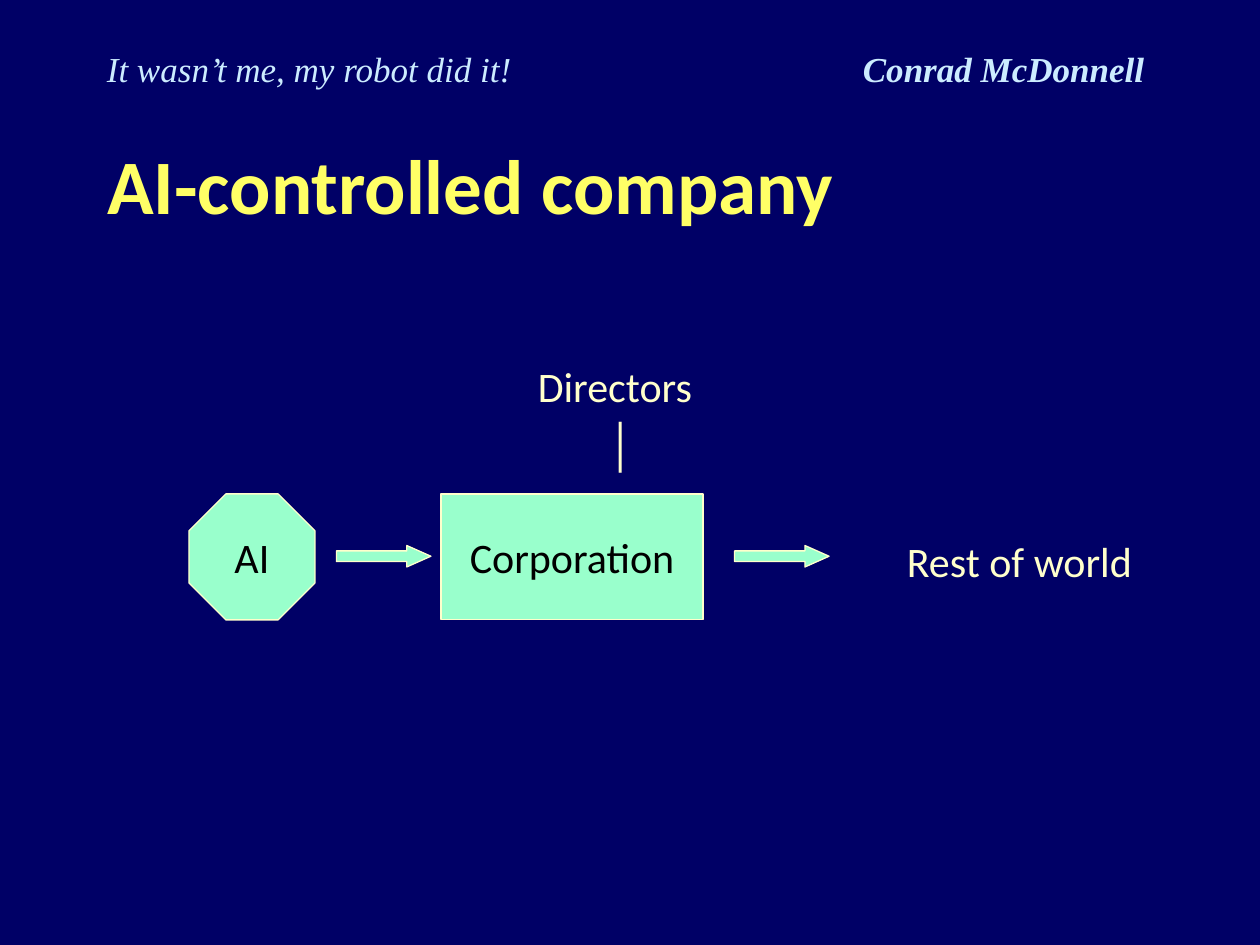
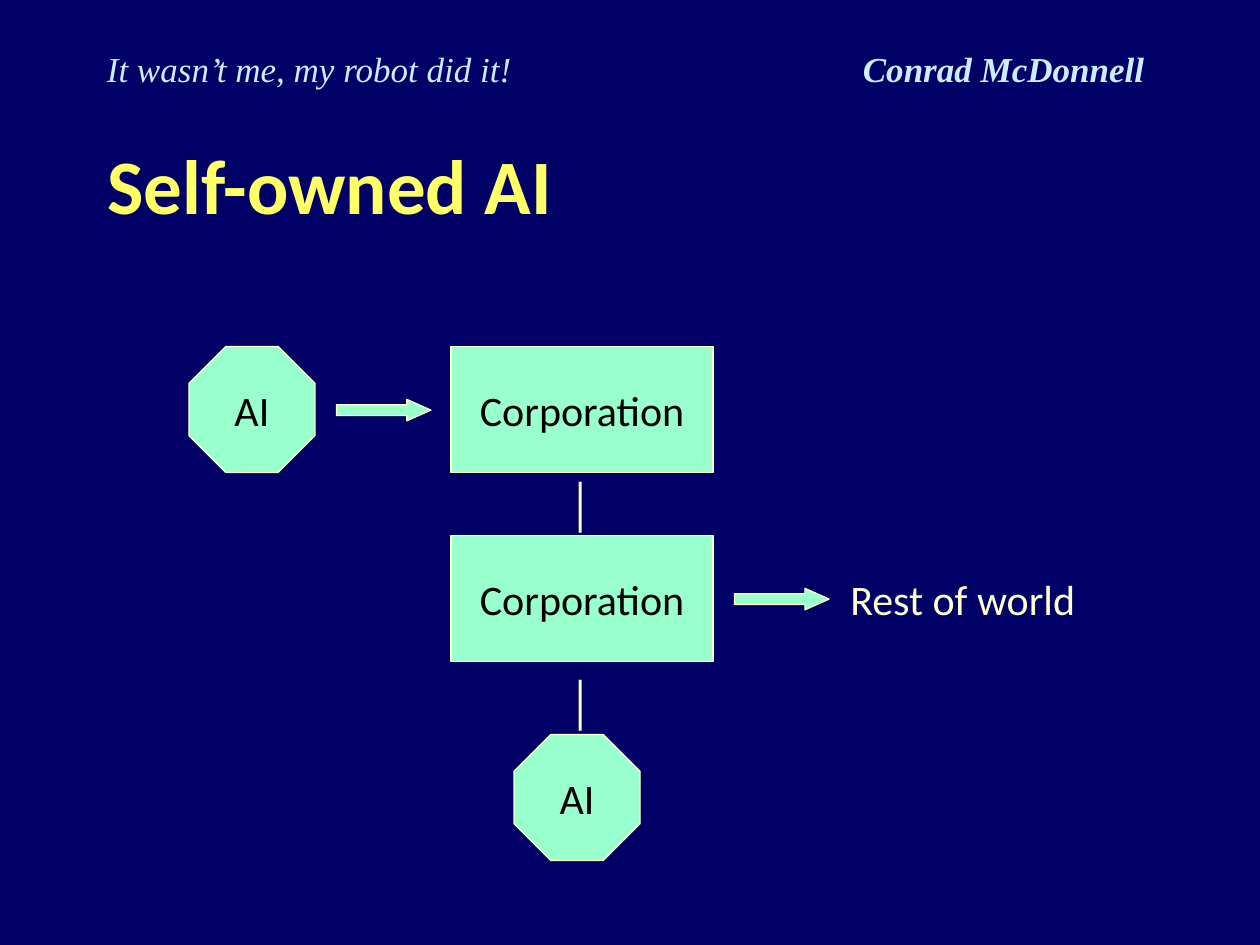
from dataclasses import dataclass

from lxml.etree import SubElement
from pptx import Presentation
from pptx.dml.color import RGBColor as RGB
from pptx.enum.shapes import MSO_SHAPE as SHAPE
from pptx.enum.text import MSO_ANCHOR as ANCHOR, PP_ALIGN as ALIGN
from pptx.oxml.ns import qn
from pptx.util import Inches, Pt


@dataclass(frozen=True)
class Theme:
    background: RGB = RGB.from_string("000066")
    header: RGB = RGB.from_string("CCECFF")
    title: RGB = RGB.from_string("FFFF66")
    label: RGB = RGB.from_string("FFFFCC")
    node: RGB = RGB.from_string("99FFCC")
    node_text: RGB = RGB.from_string("000000")
    header_font: str = "Times New Roman"
    body_font: str = "Calibri"
    bar_font: str = "Arial"
    header_size: int = 20
    title_size: int = 44
    body_size: int = 24
    outline: float = 0.75


theme = Theme()


def style_runs(frame, font_name, size, color, bold=False, italic=False):
    for run in frame.paragraphs[0].runs:
        font = run.font
        font.name, font.size, font.color.rgb = font_name, Pt(size), color
        font.bold, font.italic = bold, italic


def add_node(slide, kind, left, top, width, height, text=""):
    node = slide.shapes.add_shape(
        kind, Inches(left), Inches(top), Inches(width), Inches(height))
    node.shadow.inherit = False
    node.fill.solid()
    node.fill.fore_color.rgb = theme.node
    node.line.color.rgb = theme.label
    node.line.width = Pt(theme.outline)
    if kind == SHAPE.RIGHT_ARROW:
        node.adjustments[1] = 1.125
    if text:
        frame = node.text_frame
        frame.text = text
        frame.word_wrap = False
        frame.vertical_anchor = ANCHOR.MIDDLE
        frame.paragraphs[0].alignment = ALIGN.CENTER
        style_runs(frame, theme.body_font, theme.body_size, theme.node_text)


# Content: positions are (left, top) in inches
BAR = "│"
diagrams = [
    {
        "title": "AI-controlled company",
        "ai": [(1.5, 3.92)],
        "corporations": [(3.5, 3.92)],
        "arrows": [(2.67, 4.33), (5.83, 4.33)],
        "labels": [("Directors", 4.17, 2.81), (BAR, 4.74, 3.27),
                   ("Rest of world", 7.1, 4.2)],
    },
    {
        "title": "Self-owned AI",
        "ai": [(1.5, 2.75), (4.08, 5.83)],
        "corporations": [(3.58, 2.75), (3.58, 4.25)],
        "arrows": [(2.67, 3.17), (5.83, 4.67)],
        "labels": [(BAR, 4.42, 3.75), (BAR, 4.42, 5.32),
                   ("Rest of world", 6.65, 4.5)],
    },
]

prs = Presentation()
prs.slide_width, prs.slide_height = Inches(10), Inches(7.5)
title_only = prs.slide_layouts[5]

# Shared background
backdrop = prs.slide_master.background.fill
backdrop.solid()
backdrop.fore_color.rgb = theme.background

for number, diagram in enumerate(diagrams):
    slide = prs.slides.add_slide(title_only)

    # Running header, placed on the layout that all slides share
    if number == 0:
        header = slide.shapes.add_textbox(
            Inches(0.75), Inches(0.33), Inches(8.5), Inches(0.44))
        header.text_frame.word_wrap = True
        line = header.text_frame.paragraphs[0]
        line.alignment = ALIGN.LEFT
        for text in ("It wasn’t me, my robot did it!\t", "Conrad McDonnell"):
            line.add_run().text = text
        style_runs(header.text_frame, theme.header_font, theme.header_size,
                   theme.header, italic=True)
        line.runs[1].font.bold = True
        tabs = SubElement(header.element.find(".//" + qn("a:pPr")), qn("a:tabLst"))
        SubElement(tabs, qn("a:tab"), pos=str(Inches(6)), algn="l")
        title_only.shapes.element.append(header.element)

    # Title
    title = slide.shapes.title
    title.left, title.top = Inches(0.75), Inches(1)
    title.width, title.height = Inches(8.5), Inches(0.92)
    title.text_frame.text = diagram["title"]
    title.text_frame.vertical_anchor = ANCHOR.MIDDLE
    title.text_frame.paragraphs[0].alignment = ALIGN.LEFT
    style_runs(title.text_frame, theme.body_font, theme.title_size,
               theme.title, bold=True)

    # Parties and the arrows between them
    for left, top in diagram["ai"]:
        add_node(slide, SHAPE.OCTAGON, left, top, 1, 1, "AI")
    for left, top in diagram["corporations"]:
        add_node(slide, SHAPE.RECTANGLE, left, top, 2.08, 1, "Corporation")
    for left, top in diagram["arrows"]:
        add_node(slide, SHAPE.RIGHT_ARROW, left, top, 0.75, 0.17)

    # Free labels and the bars that tie parties together
    for text, left, top in diagram["labels"]:
        width = 0.4 if text == BAR else 2.2
        label = slide.shapes.add_textbox(
            Inches(left), Inches(top), Inches(width), Inches(0.5))
        label.text_frame.word_wrap = True
        label.text_frame.text = text
        font_name = theme.bar_font if text == BAR else theme.body_font
        style_runs(label.text_frame, font_name, theme.body_size, theme.label)

prs.save("out.pptx")
